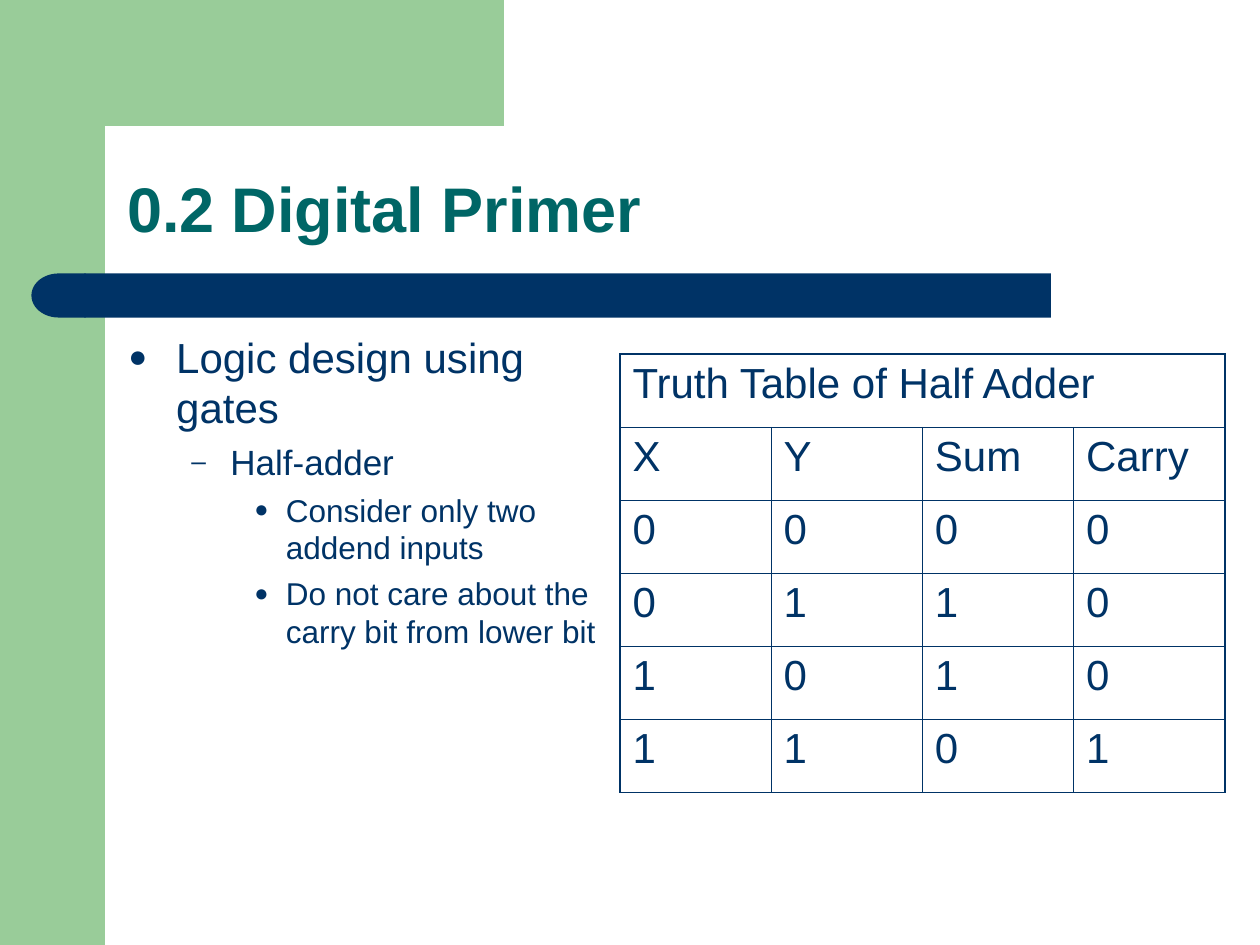
import math

import lxml.etree
import pptx
import pptx.dml.color
import pptx.enum.shapes
import pptx.enum.text
import pptx.oxml.ns
import pptx.util

WIDTH, HEIGHT = 10, 7.5
UNIT = WIDTH / 12  # width of the green side band
GREEN, NAVY, TEAL = "99CC99", "003366", "006666"
FONT = "Arial"

TITLE = "0.2 Digital Primer"
OUTLINE = [
    (0, "Logic design using gates"),
    (1, "Half-adder"),
    (2, "Consider only two addend inputs"),
    (2, "Do not care about the carry bit from lower bit"),
]
LEVELS = [
    {"size": 24, "before": 6, "left": 0.38, "hanging": 0.38, "bullet": "●"},
    {"size": 20, "before": 5, "left": 0.81, "hanging": 0.31, "bullet": "–"},
    {"size": 18, "before": 4.5, "left": 1.25, "hanging": 0.25, "bullet": "●"},
]
TRUTH_TITLE = "Truth Table of Half Adder"
TRUTH_ROWS = [
    ["X", "Y", "Sum", "Carry"],
    ["0", "0", "0", "0"],
    ["0", "1", "1", "0"],
    ["1", "0", "1", "0"],
    ["1", "1", "0", "1"],
]
TABLE_LEFT, TABLE_TOP, COLUMN, ROW = 4.92, 2.81, 1.2, 0.58
OUTER_LINE, INNER_LINE = 1.08, 0.45

SHAPES = pptx.enum.shapes.MSO_SHAPE
Inches, Pt = pptx.util.Inches, pptx.util.Pt


def color(value):
    return pptx.dml.color.RGBColor.from_string(value)


def add_xml(parent, tag, **attributes):
    child = lxml.etree.SubElement(parent, pptx.oxml.ns.qn(tag))
    for key, value in attributes.items():
        child.set(key, str(value))
    return child


def paint(shape, value):
    shape.shadow.inherit = False
    shape.fill.solid()
    shape.fill.fore_color.rgb = color(value)
    shape.line.fill.background()


def add_block(slide, kind, box, value):
    block = slide.shapes.add_shape(kind, *map(Inches, box))
    paint(block, value)
    return block


def add_corner(slide):
    """Green top band whose inner corner is rounded."""
    right, bottom, radius_x, radius_y = 3.5, 1.28, 0.3, 0.33
    angles = [math.radians(step * 5) for step in range(19)]
    arc = [(UNIT + radius_x * (1 - math.sin(a)), UNIT + radius_y * (1 - math.cos(a)))
           for a in angles]
    points = [(right, UNIT), *arc, (UNIT, bottom), (0.5, bottom), (0.5, 0)]
    builder = slide.shapes.build_freeform(right, 0, scale=Inches(1))
    builder.add_line_segments(points, close=True)
    paint(builder.convert_to_shape(), GREEN)


def add_text_frame(slide, box, anchor):
    frame = slide.shapes.add_textbox(*map(Inches, box)).text_frame
    frame.word_wrap = True
    frame.vertical_anchor = anchor
    return frame


def write(paragraph, text, size, value, bold=False, **spacing):
    run = paragraph.add_run()
    run.text = text
    formats = {"name": FONT, "size": Pt(size), "bold": bold}
    for key, setting in formats.items():
        setattr(run.font, key, setting)
    run.font.color.rgb = color(value)
    for key, setting in spacing.items():
        setattr(paragraph, key, setting)


def add_bullet(paragraph, level):
    properties = paragraph._p.get_or_add_pPr()
    properties.set("marL", str(Inches(level["left"])))
    properties.set("indent", str(-Inches(level["hanging"])))
    add_xml(add_xml(properties, "a:buClr"), "a:srgbClr", val=NAVY)
    add_xml(properties, "a:buSzPct", val=75000)
    add_xml(properties, "a:buFont", typeface=FONT)
    add_xml(properties, "a:buChar", char=level["bullet"])


def add_outline(slide):
    frame = add_text_frame(slide, (0.92, 2.58, 4.12, 4.07),
                           pptx.enum.text.MSO_ANCHOR.TOP)
    for index, (depth, text) in enumerate(OUTLINE):
        paragraph = frame.add_paragraph() if index else frame.paragraphs[0]
        level = LEVELS[depth]
        write(paragraph, text, level["size"], NAVY, level=depth,
              space_before=Pt(level["before"]))
        add_bullet(paragraph, level)


def add_borders(cell, outer_sides):
    properties = cell._tc.get_or_add_tcPr()
    for side in "LRTB":
        width = OUTER_LINE if side in outer_sides else INNER_LINE
        line = add_xml(properties, f"a:ln{side}", w=Pt(width))
        add_xml(add_xml(line, "a:solidFill"), "a:srgbClr", val=NAVY)


def add_truth_table(slide):
    columns = len(TRUTH_ROWS[0])
    rows = [[TRUTH_TITLE] + [""] * (columns - 1), *TRUTH_ROWS]
    box = (TABLE_LEFT, TABLE_TOP, columns * COLUMN, len(rows) * ROW)
    table = slide.shapes.add_table(len(rows), columns, *map(Inches, box)).table
    table.first_row = table.horz_banding = False
    table.cell(0, 0).merge(table.cell(0, columns - 1))
    for r, values in enumerate(rows):
        for c, value in enumerate(values):
            cell = table.cell(r, c)
            if not cell.is_spanned:
                edges = {"L": c == 0, "R": c + cell.span_width >= columns,
                         "T": r == 0, "B": r == len(rows) - 1}
                add_borders(cell, [side for side, outer in edges.items() if outer])
                write(cell.text_frame.paragraphs[0], value, 24, NAVY,
                      space_before=Pt(6))
            cell.fill.background()


def main():
    deck = pptx.Presentation()
    deck.slide_width, deck.slide_height = Inches(WIDTH), Inches(HEIGHT)
    slide = deck.slides.add_slide(deck.slide_layouts[6])

    add_block(slide, SHAPES.RECTANGLE, (0, 0, UNIT, HEIGHT), GREEN)
    add_corner(slide)
    bar = add_block(slide, SHAPES.ROUNDED_RECTANGLE, (0.67, 2.17, 7.67, 0.35), NAVY)
    bar.adjustments[0] = 0
    bar_end = add_block(slide, SHAPES.FLOWCHART_DELAY, (0.25, 2.17, 0.43, 0.35), NAVY)
    bar_end._element.spPr.xfrm.set("flipH", "1")

    heading = add_text_frame(slide, (0.91, 0.91, 8.51, 1.09),
                             pptx.enum.text.MSO_ANCHOR.BOTTOM)
    write(heading.paragraphs[0], TITLE, 36, TEAL, bold=True, line_spacing=0.9)
    add_outline(slide)
    add_truth_table(slide)
    deck.save("out.pptx")


if __name__ == "__main__":
    main()
